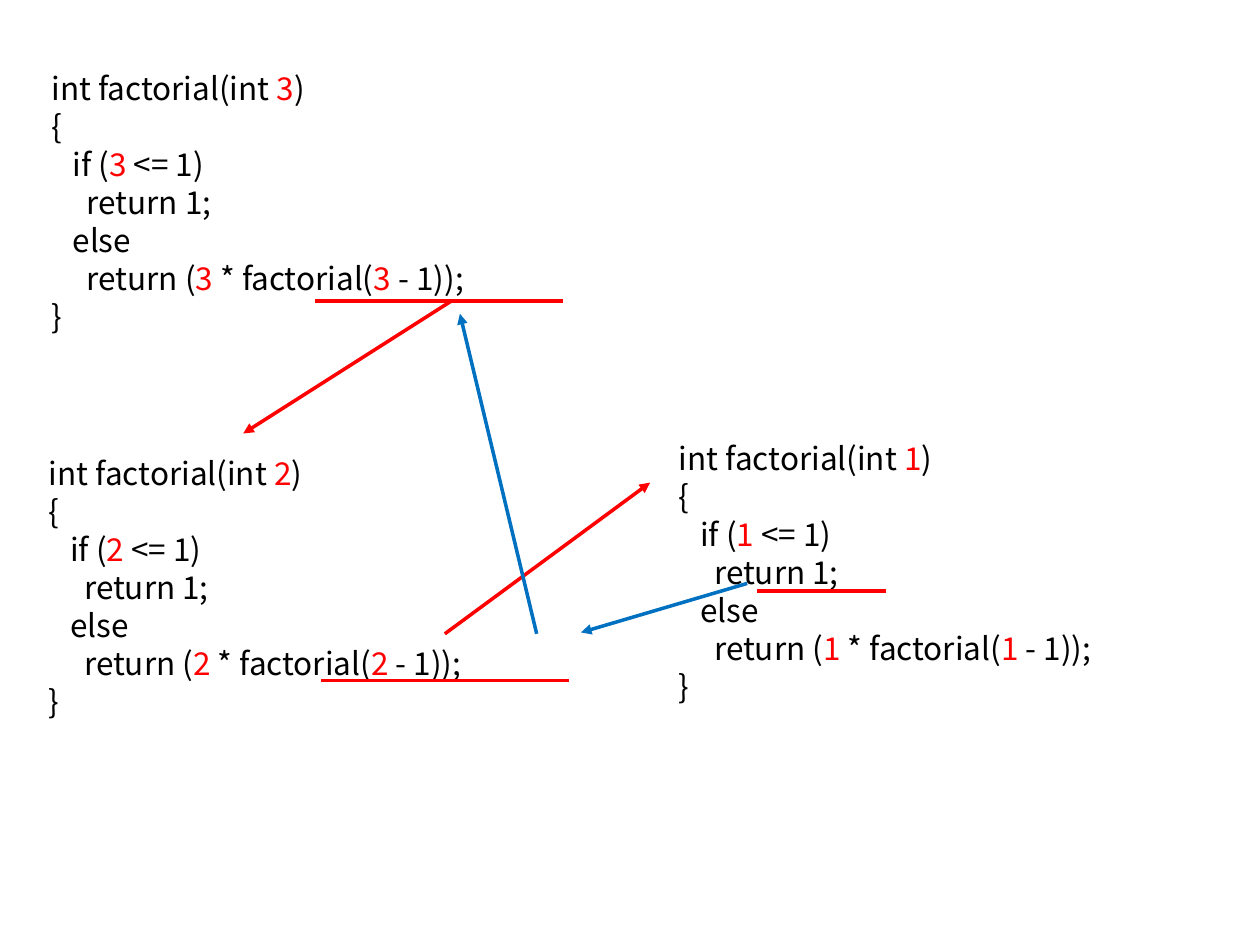
import pptx
import pptx.util
import pptx.dml.color
import pptx.enum.shapes
import pptx.enum.text
import pptx.oxml
import pptx.oxml.ns

Pt = pptx.util.Pt
RGB = pptx.dml.color.RGBColor
BLACK = RGB(0x00, 0x00, 0x00)
RED = RGB(0xFF, 0x00, 0x00)
BLUE = RGB(0x00, 0x70, 0xC0)

FONT = {"name": "Noto Sans CJK KR", "size": Pt(18)}
FRAME = {
    "word_wrap": True,
    "auto_size": pptx.enum.text.MSO_AUTO_SIZE.SHAPE_TO_FIT_TEXT,
}
CODE = """int factorial(int #)
{
   if (# <= 1)
     return 1;
   else
     return (# * factorial(# - 1));
}"""

CALLS = [
    ("3", (22.3, 36, 340), (180, 172.1, 321.8, 172.1)),
    ("2", (20.9, 255.6, 360), (183.6, 388.8, 325.4, 388.8)),
    ("1", (380.9, 247.4, 360), (432.7, 337.7, 506.2, 337.7)),
]
ARROWS = [
    ((254.2, 362.2, 371.5, 275.8), RED),
    ((427, 333.4, 332, 361.4), BLUE),
    ((306.7, 362.2, 262.8, 179.3), BLUE),
    ((257.8, 172.1, 139, 247.7), RED),
]


def style(item, values):
    for key, value in values.items():
        setattr(item, key, value)


def add_run(para, text, color):
    run = para.add_run()
    run.text = text
    style(run.font, FONT)
    run.font.color.rgb = color


def add_code(shapes, value, place):
    left, top, width = place
    box = shapes.add_textbox(Pt(left), Pt(top), Pt(width), Pt(160))
    frame = box.text_frame
    style(frame, FRAME)
    for row, line in enumerate(CODE.split("\n")):
        para = frame.add_paragraph() if row else frame.paragraphs[0]
        para.line_spacing = Pt(21.7)
        for part, text in enumerate(line.split("#")):
            if part:
                add_run(para, value, RED)
            add_run(para, text, BLACK)


def add_line(shapes, ends, color, arrow=False):
    kind = pptx.enum.shapes.MSO_CONNECTOR.STRAIGHT
    line = shapes.add_connector(kind, *map(Pt, ends))
    line.line.color.rgb = color
    line.line.width = Pt(2)
    props = line._element.spPr
    if arrow:
        tail = pptx.oxml.parse_xml(
            f'<a:tailEnd {pptx.oxml.ns.nsdecls("a")} type="triangle"/>'
        )
        props.ln.append(tail)
    props.append(
        pptx.oxml.parse_xml(f'<a:effectLst {pptx.oxml.ns.nsdecls("a")}/>')
    )


def main():
    deck = pptx.Presentation()
    style(deck, {"slide_width": Pt(720), "slide_height": Pt(540)})
    slide = deck.slides.add_slide(deck.slide_layouts[6])
    for value, place, ends in CALLS:
        group = slide.shapes.add_group_shape()
        add_code(group.shapes, value, place)
        add_line(group.shapes, ends, RED)
    for ends, color in ARROWS:
        add_line(slide.shapes, ends, color, arrow=True)
    deck.save("out.pptx")


if __name__ == "__main__":
    main()
